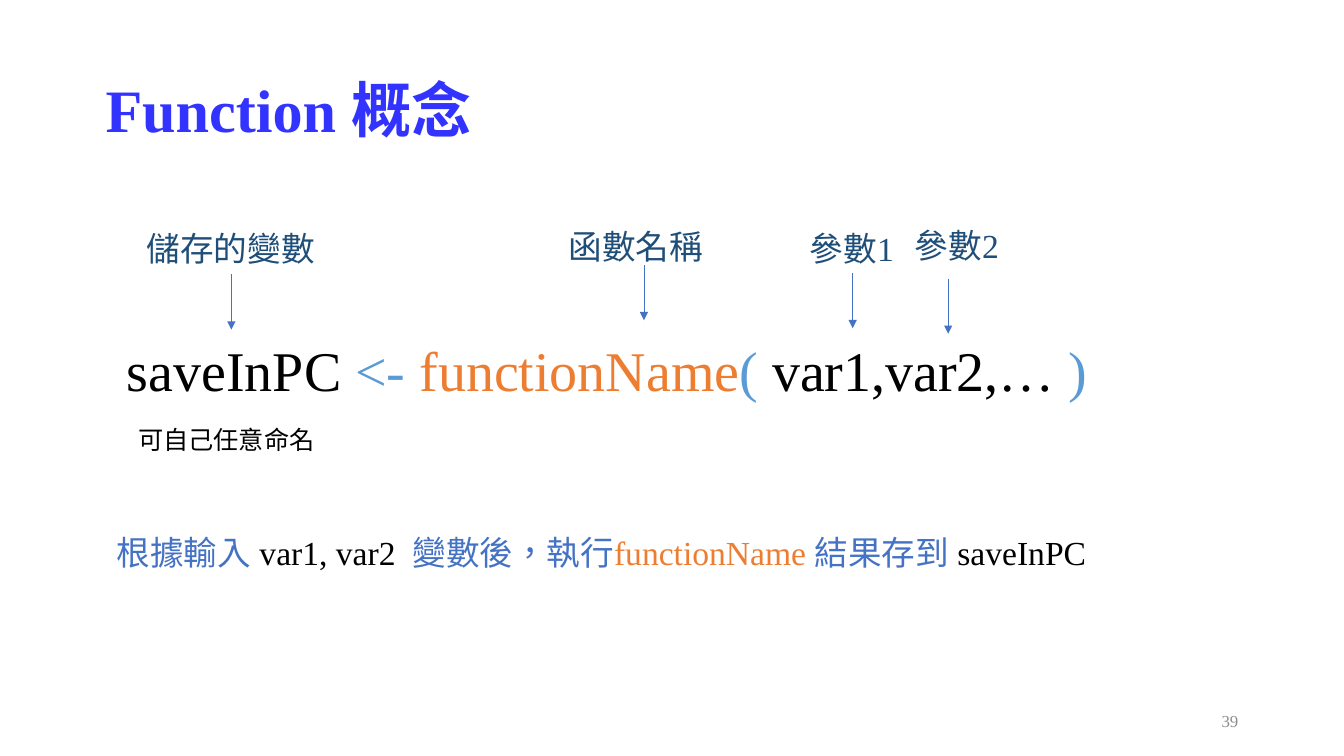
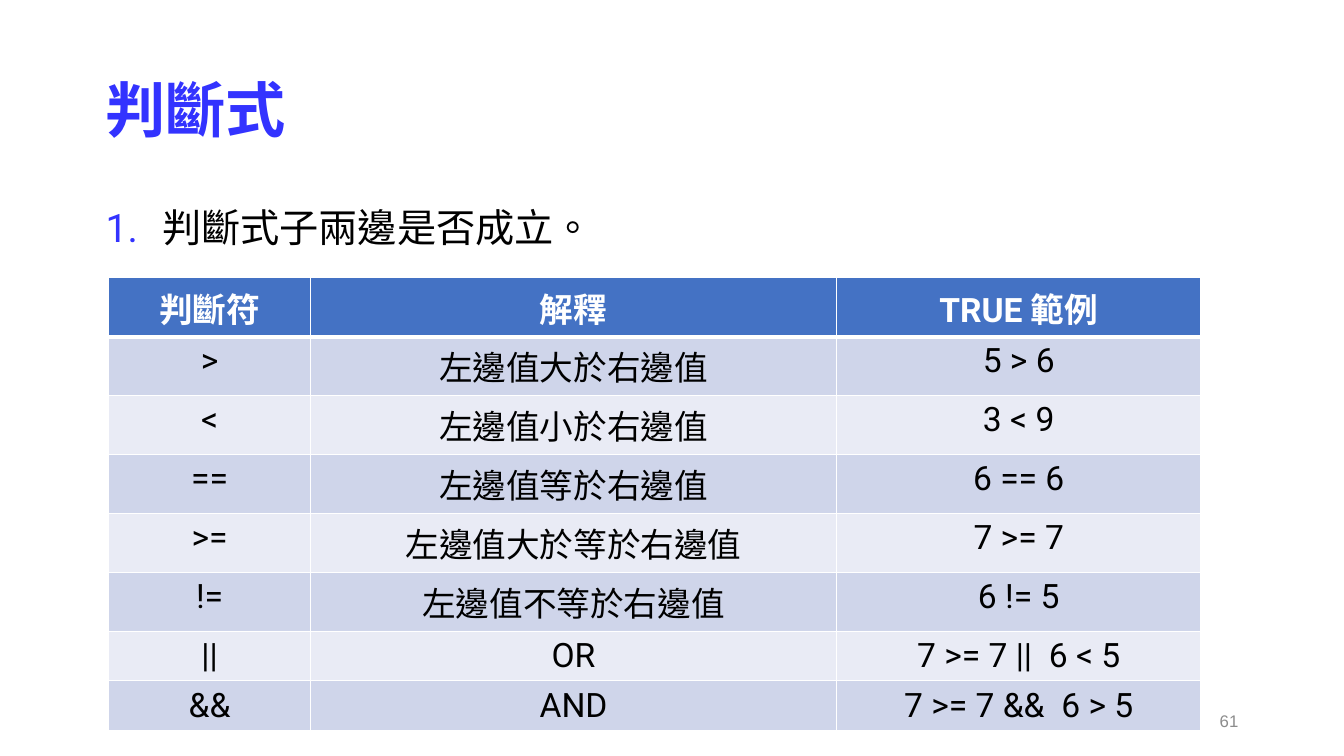
from lxml.etree import SubElement
from pptx import Presentation
from pptx.dml.color import RGBColor
from pptx.enum.shapes import MSO_CONNECTOR
from pptx.enum.text import MSO_ANCHOR, PP_ALIGN
from pptx.oxml.ns import qn
from pptx.util import Pt

HUE = {
    "title": "3333FF", "note": "8C8C8C", "ink": "000000", "label": "1F4E79",
    "blue": "4472C4", "sky": "5B9BD5", "orange": "ED7D31", "white": "FFFFFF",
    "odd": "CFD5EA", "even": "E9EBF5",
}
SERIF, SANS, PLAIN = "Times New Roman", "Roboto", "Arial"
WIDE = (9.4, 5)
SLIM = (7.2, 3.6)


def tint(name):
    return RGBColor.from_string(HUE[name])


def add_runs(para, runs, size, face=SERIF, bold=False):
    for text, hue in runs:
        run = para.add_run()
        run.text = text
        font = run.font
        font.size, font.name, font.bold = Pt(size), face, bold
        font.color.rgb = tint(hue)
        props = run._r.get_or_add_rPr()
        props.set("lang", "zh-TW")
        SubElement(props, qn("a:ea"), typeface=SANS)


def add_text(slide, box, runs, size, face=SERIF, bold=False, pad=SLIM,
             middle=False, right=False, space=None):
    frame = slide.shapes.add_textbox(*map(Pt, box)).text_frame
    frame.word_wrap = True
    frame.margin_left = frame.margin_right = Pt(pad[0])
    frame.margin_top = frame.margin_bottom = Pt(pad[1])
    frame.vertical_anchor = MSO_ANCHOR.MIDDLE if middle else MSO_ANCHOR.TOP
    para = frame.paragraphs[0]
    para.alignment = PP_ALIGN.RIGHT if right else PP_ALIGN.LEFT
    if space:
        para.line_spacing = space
    add_runs(para, runs, size, face, bold)
    return para


def add_base(deck, title, number, face):
    slide = deck.slides.add_slide(deck.slide_layouts[6])
    add_text(slide, (66, 29, 828, 104), [(title, "title")], 43, bold=True,
             pad=WIDE, middle=True, space=0.9)
    add_text(slide, (678, 500.4, 216, 28.8), [(number, "note")], 12, face,
             pad=WIDE, middle=True, right=True)
    return slide


def add_arrow(slide, x, y, drop):
    line = slide.shapes.add_connector(
        MSO_CONNECTOR.STRAIGHT, Pt(x), Pt(y), Pt(x), Pt(y + drop))
    line.line.color.rgb = tint("blue")
    line.line.width = Pt(0.5)
    SubElement(line.line._get_or_add_ln(), qn("a:tailEnd"), type="triangle")
    SubElement(line._element.spPr, qn("a:effectLst"))


def add_syntax(slide, box):
    left, top, width, height = box
    code = [("saveInPC ", "ink"), ("<- ", "sky"), ("functionName", "orange"),
            ("(", "sky"), (" var1,var2,… ", "ink"), (")", "sky")]
    add_text(slide, (left, top + 68, width, height - 68), code, 40,
             pad=(14.4, 14.4))
    labels = [
        ("儲存的變數", 21.4, 2, 136, 89, 39),
        ("函數名稱", 322.7, 0.5, 112, 383.7, 32.3),
        ("參數1", 495.2, 2, 77, 532.8, 38),
        ("參數2", 570.2, 0, 77, 601, 42),
    ]
    for text, x, y, span, tip, start in labels:
        add_text(slide, (left + x, top + y, span, 36), [(text, "label")], 24)
        add_arrow(slide, left + tip, top + start, 39.5)
    add_text(slide, (left + 15.2, top + 142.5, 142, 29),
             [("可自己任意命名", "ink")], 18)


def add_recap(slide, box):
    runs = [("根據輸入 ", "blue"), ("var1, var2  ", "ink"),
            ("變數後，執行", "blue"), ("functionName ", "orange"),
            ("結果存到 ", "blue"), ("saveInPC", "ink")]
    add_text(slide, box, runs, 24)


def add_point(slide, box, text):
    para = add_text(slide, box, [(text, "ink")], 28, pad=WIDE, space=0.9)
    props = para._p.get_or_add_pPr()
    props.set("marL", str(Pt(40.5)))
    props.set("indent", str(Pt(-40.5)))
    paint = SubElement(props, qn("a:buClr"))
    SubElement(paint, qn("a:srgbClr"), val=HUE["title"])
    SubElement(props, qn("a:buFont"), typeface=SANS)
    SubElement(props, qn("a:buAutoNum"), type="arabicPeriod")


def add_edges(cell, row):
    props = cell._tc.get_or_add_tcPr()
    thick = {"T": 3 if row == 1 else 1, "B": 3 if row == 0 else 1}
    for side in "LRTB":
        width = str(Pt(thick.get(side, 1)))
        edge = SubElement(props, qn("a:ln" + side), w=width)
        fill = SubElement(edge, qn("a:solidFill"))
        SubElement(fill, qn("a:srgbClr"), val=HUE["white"])


def add_grid(slide, box, spans, rows):
    table = slide.shapes.add_table(
        len(rows), len(spans), *map(Pt, box)).table
    for col, span in zip(table.columns, spans):
        col.width = Pt(span)
    for i, row in enumerate(rows):
        tall = not row[1].isascii()
        table.rows[i].height = Pt(42.1 if tall else 35.3)
        head = i == 0
        back = "blue" if head else "odd" if i % 2 else "even"
        for j, text in enumerate(row):
            cell = table.cell(i, j)
            add_edges(cell, i)
            cell.fill.solid()
            cell.fill.fore_color.rgb = tint(back)
            cell.margin_top = Pt(3.6 if text.isascii() else 9.3)
            cell.margin_bottom = Pt(2)
            para = cell.text_frame.paragraphs[0]
            para.alignment = PP_ALIGN.CENTER
            add_runs(para, [(text, "white" if head else "ink")], 24, SANS, head)


def add_concept(deck):
    slide = add_base(deck, "Function 概念", "39", SERIF)
    add_syntax(slide, (76.3, 157, 790, 145))
    add_recap(slide, (76.3, 376.5, 720, 36))


def add_tests(deck):
    slide = add_base(deck, "判斷式", "61", PLAIN)
    add_point(slide, (66, 144, 828, 343), "判斷式子兩邊是否成立。")
    rows = [
        ("判斷符", "解釋", "TRUE 範例"),
        (">", "左邊值大於右邊值", "5 > 6"),
        ("<", "左邊值小於右邊值", "3 < 9"),
        ("==", "左邊值等於右邊值", "6 == 6"),
        (">=", "左邊值大於等於右邊值", "7 >= 7"),
        ("!=", "左邊值不等於右邊值", "6 != 5"),
        ("||", "OR", "7 >= 7 ||  6 < 5"),
        ("&&", "AND", "7 >= 7 &&  6 > 5"),
    ]
    add_grid(slide, (77.7, 198.4, 780, 323.2), (144, 376, 260), rows)


def main():
    deck = Presentation()
    deck.slide_width, deck.slide_height = Pt(960), Pt(540)
    add_concept(deck)
    add_tests(deck)
    deck.save("out.pptx")


if __name__ == "__main__":
    main()
